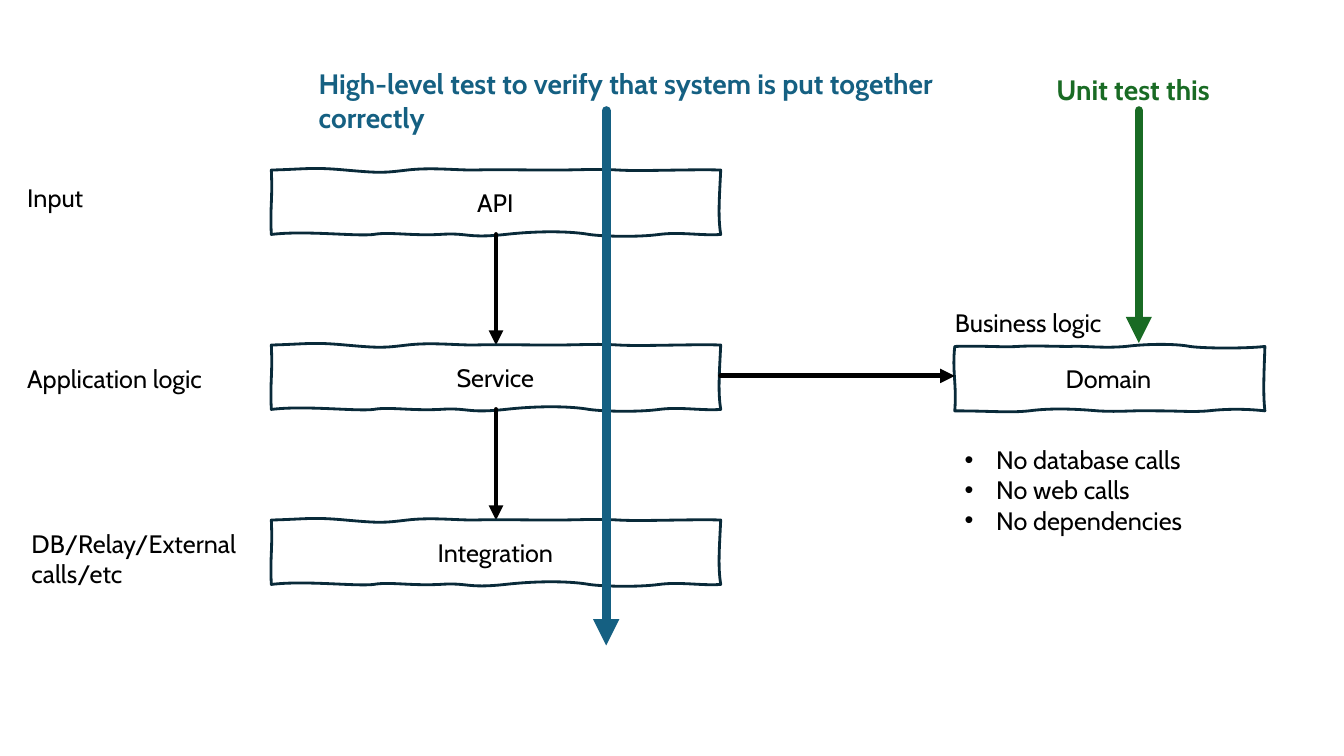
import pptx
import pptx.dml.color
import pptx.enum.shapes
import pptx.enum.text
import pptx.oxml.ns
import pptx.util
from lxml import etree

Pt = pptx.util.Pt
FONT = "Cabin"
BLACK, NAVY, BLUE, GREEN = "000000", "092A39", "156082", "196B24"
BOX_HEIGHT = 46

LAYER_OUTLINE = [
    (0, 0),
    (26, -0.7), (29, -2.2), (53, 0), (78, 2.2), (80, 2), (97, 0),
    (114, -2), (130, 0), (145, 0), (159, -0.5), (181, 0), (201, 0),
    (221, 0), (232, -1), (248, 0), (264, 1), (302, -0.7), (321, 0),
    (320, 21.5), (319, 33), (321, 46),
    (307, 47), (292, 44), (277, 46), (262, 48), (238, 47.5), (227, 46),
    (216, 44), (194, 43), (167, 46), (139, 49), (141, 44.5), (120, 46),
    (99, 47), (84, 44), (73, 46), (61, 47.5), (24, 43), (0, 46),
    (-1, 25.5), (1, 22), (0, 0),
]
DOMAIN_OUTLINE = [
    (0, 0),
    (19, -0.7), (33, 0.7), (45, 0), (55, -0.7), (72, 0), (82, 0),
    (91, -0.7), (105, 1.5), (122, 0), (138, -2), (158, -2), (168, 0),
    (179, 1.5), (208, 1.5), (221.5, 0),
    (221, 16.5), (220, 33), (221.5, 46),
    (208, 44.5), (194, 44.5), (181, 46), (169, 47), (162, 46), (144, 46),
    (126, 45.5), (119, 47), (102, 46), (85, 44.5), (68, 44), (53, 46),
    (39, 47.5), (25, 46), (0, 46),
    (1.5, 27), (-2, 18), (0, 0),
]


def color(value):
    return pptx.dml.color.RGBColor.from_string(value)


def add_xml(parent, tag, **attributes):
    return etree.SubElement(parent, pptx.oxml.ns.qn(tag), **attributes)


def write_text(text_frame, text, size=18, fill=BLACK, bold=False, align="LEFT", bullet=False):
    for index, line in enumerate(text.split("\n")):
        paragraph = text_frame.paragraphs[0] if index == 0 else text_frame.add_paragraph()
        paragraph.alignment = getattr(pptx.enum.text.PP_ALIGN, align)
        run = paragraph.add_run()
        run.text = line
        run.font.name = FONT
        run.font.size = Pt(size)
        run.font.bold = bold
        run.font.color.rgb = color(fill)
        if bullet:
            properties = paragraph._p.get_or_add_pPr()
            properties.set("marL", str(Pt(22.5)))
            properties.set("indent", str(-Pt(22.5)))
            add_xml(properties, "a:buFont", typeface="Arial")
            add_xml(properties, "a:buChar", char="•")


def add_label(slide, text, left, top, width, height, wrap=False, **text_format):
    shape = slide.shapes.add_textbox(Pt(left), Pt(top), Pt(width), Pt(height))
    shape.text_frame.word_wrap = wrap
    shape.text_frame.auto_size = pptx.enum.text.MSO_AUTO_SIZE.SHAPE_TO_FIT_TEXT
    write_text(shape.text_frame, text, **text_format)


def curve_outline(shape):
    segments = list(shape._element.iter(pptx.oxml.ns.qn("a:lnTo")))
    for index in range(0, len(segments), 3):
        curve = etree.Element(pptx.oxml.ns.qn("a:cubicBezTo"))
        segments[index].addprevious(curve)
        for segment in segments[index:index + 3]:
            curve.append(segment[0])
            segment.getparent().remove(segment)


def add_sketched_box(slide, text, left, top, outline):
    points = [(Pt(left + x), Pt(top + y)) for x, y in outline]
    builder = slide.shapes.build_freeform(*points[0])
    builder.add_line_segments(points[1:], close=False)
    shape = builder.convert_to_shape()
    curve_outline(shape)
    shape.shadow.inherit = False
    shape.fill.background()
    shape.line.color.rgb = color(NAVY)
    shape.line.width = Pt(2)
    shape.text_frame.word_wrap = True
    shape.text_frame.vertical_anchor = pptx.enum.text.MSO_ANCHOR.MIDDLE
    write_text(shape.text_frame, text, align="CENTER")


def add_arrow(slide, start, end, fill=BLACK, width=3.5):
    connector = slide.shapes.add_connector(
        pptx.enum.shapes.MSO_CONNECTOR.STRAIGHT, *(Pt(value) for value in start + end))
    connector.line.color.rgb = color(fill)
    connector.line.width = Pt(width)
    line = connector.line._get_or_add_ln()
    line.set("cap", "rnd")
    add_xml(line, "a:tailEnd", type="triangle")
    add_xml(connector._element.spPr, "a:effectLst")


def add_layers(slide, left, top, width, pitch):
    names = ("API", "Service", "Integration")
    middle = left + width / 2
    for index, name in enumerate(names):
        box_top = top + index * pitch
        add_sketched_box(slide, name, left, box_top, LAYER_OUTLINE)
        if index < len(names) - 1:
            add_arrow(slide, (middle, box_top + BOX_HEIGHT), (middle, box_top + pitch))


def add_layer_labels(slide, left, top):
    add_label(slide, "Input", left, top, 55.5, 29)
    add_label(slide, "Application logic", left, top + 129, 144.5, 29)
    add_label(slide, "DB/Relay/External calls/etc", left + 3, top + 247, 183.5, 51, wrap=True)


def add_domain(slide, left, top):
    add_sketched_box(slide, "Domain", left, top, DOMAIN_OUTLINE)
    add_label(slide, "Business logic", left - 7, top - 31.5, 126.5, 29)
    add_label(slide, "No database calls\nNo web calls\nNo dependencies",
              left, top + 66.5, 178.5, 72.5, bullet=True)


def add_test_arrows(slide, top):
    add_label(slide, "Unit test this", 747.5, top - 31, 132, 31.5,
              size=20, fill=GREEN, bold=True)
    add_arrow(slide, (813.5, top), (813.5, top + 166), GREEN, 6.25)
    add_label(slide, "High-level test to verify that system is put together\ncorrectly",
              220.5, top - 35, 474.5, 55.5, size=20, fill=BLUE, bold=True)
    add_arrow(slide, (433, top), (433, top + 382), BLUE, 6.25)


def main():
    presentation = pptx.Presentation()
    presentation.slide_width = Pt(960)
    presentation.slide_height = Pt(540)
    slide = presentation.slides.add_slide(presentation.slide_layouts.get_by_name("Blank"))
    add_layers(slide, left=193.8, top=121.5, width=321, pitch=125)
    add_layer_labels(slide, left=12.4, top=126.6)
    add_domain(slide, left=682, top=247.5)
    add_arrow(slide, (514.8, 268.5), (682, 268.5))
    add_test_arrows(slide, top=79)
    presentation.save("out.pptx")


if __name__ == "__main__":
    main()
